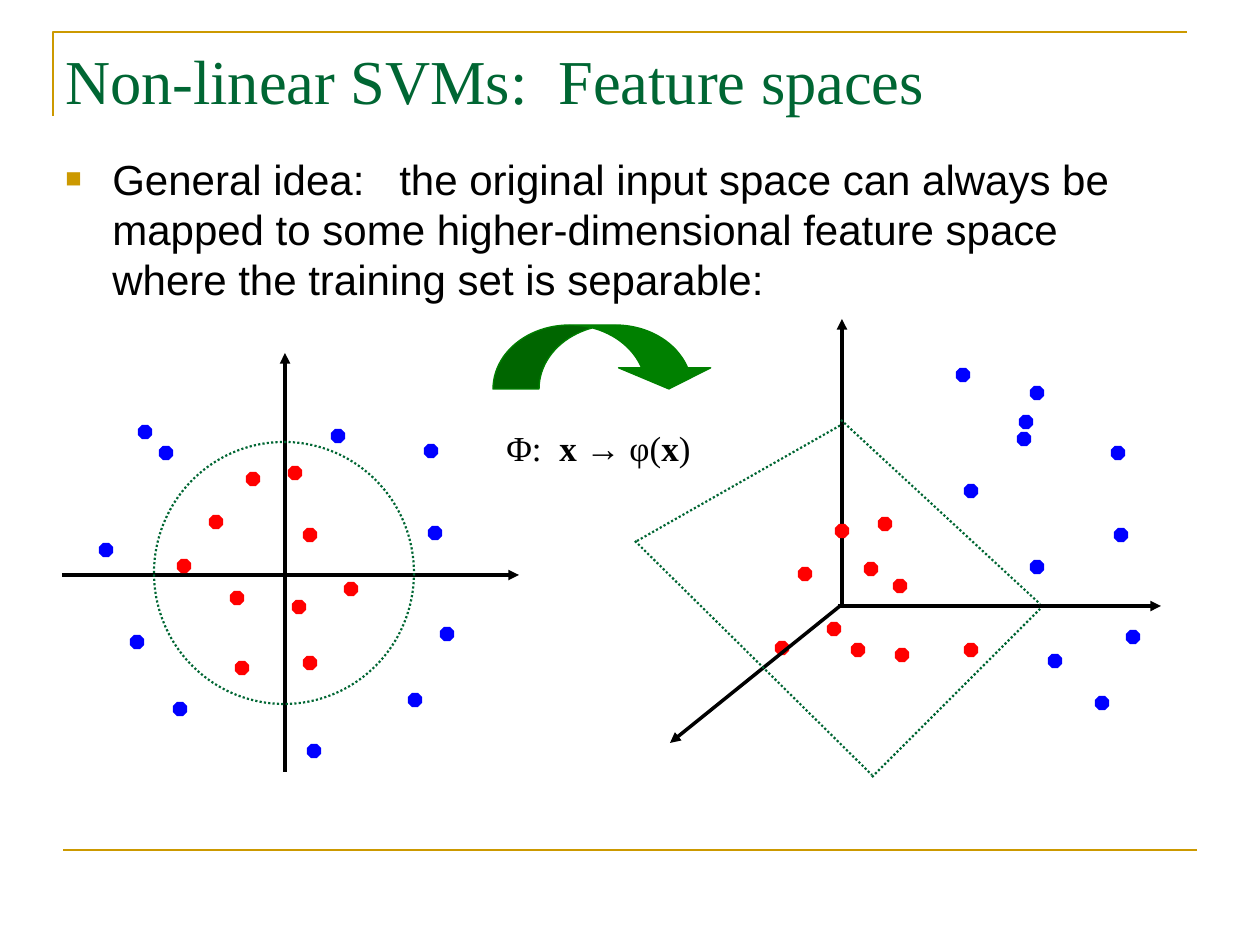
"""Builds a slide on mapping inputs to a separable feature space."""
from lxml import etree
from pptx import Presentation
from pptx import util as u
from pptx.dml.color import RGBColor
from pptx.enum import dml, shapes, text
from pptx.oxml import ns

COLORS = {"gold": "CC9900", "green": "006633", "arrow": "008000",
          "red": "FF0000", "blue": "0000FF", "black": "000000"}
SERIF, SANS = "Times New Roman", "Arial"

TITLE = [("Non-linear SVMs:  Feature spaces", False)]
BODY = [("General idea:   the original input space can always be mapped to some "
         "higher-dimensional feature space where the training set is separable:", False)]
MAPPING = [("Φ:  ", False), ("x → ", True), ("φ(", False), ("x", True), (")", False)]

CORNER = [(53, 116), (53, 32), (1187, 32)]
FOOT_RULE = (63, 850, 1197, 850)
CIRCLE = (154, 442, 260, 262)
CURVED_ARROW = (493, 325, 222, 64)
ARROW_ADJUSTMENTS = (0.72, 1.44, 0.33)
DOT = 13

INPUT_AXES = [(285, 772, 285, 353), (62, 575, 519, 575)]
FEATURE_AXES = [(842, 604, 842, 319), (838, 606, 1161, 606)]
DEPTH_AXIS = (840, 606, 670, 743)
PLANE = [(841, 420, 1040, 604), (872, 777, 1040, 609),
         (637, 541, 841, 425), (635, 541, 872, 775)]

INPUT_DOTS = {
    "red": [(295, 473), (216, 522), (237, 598), (310, 663), (253, 479),
            (184, 566), (242, 668), (310, 535), (351, 589), (299, 607)],
    "blue": [(435, 533), (415, 700), (106, 550), (314, 751), (447, 634), (180, 709),
             (137, 642), (145, 432), (338, 436), (166, 453), (431, 451)],
}
FEATURE_DOTS = {
    "red": [(885, 524), (805, 574), (858, 650), (971, 650), (842, 531),
            (871, 569), (902, 655), (900, 586), (834, 629), (782, 648)],
    "blue": [(1121, 535), (1102, 703), (1037, 393), (1037, 567), (1133, 637), (971, 491),
             (1055, 661), (1026, 422), (1024, 439), (963, 375), (1118, 453)],
}


def px(*values):
    return [u.Emu(round(v * 914400 / 126)) for v in values]


def rgb(name):
    return RGBColor.from_string(COLORS[name])


def set_line(sp, color, width, dotted=False):
    sp.line.color.rgb = rgb(color)
    sp.line.width = u.Pt(width)
    if dotted:
        sp.line.dash_style = dml.MSO_LINE.ROUND_DOT


def add_line(s, ends, color, width, dotted=False, arrow=False):
    cx = s.shapes.add_connector(shapes.MSO_CONNECTOR.STRAIGHT, *px(*ends))
    set_line(cx, color, width, dotted)
    if arrow:
        etree.SubElement(cx.line._get_or_add_ln(), ns.qn("a:tailEnd"), type="triangle")
    etree.SubElement(cx._element.spPr, ns.qn("a:effectLst"))


def add_shape(s, kind, box, color, width, fill=None, dotted=False):
    sp = s.shapes.add_shape(kind, *px(*box))
    sp.shadow.inherit = False
    if fill:
        sp.fill.solid()
        sp.fill.fore_color.rgb = rgb(fill)
    else:
        sp.fill.background()
    set_line(sp, color, width, dotted)
    return sp


def add_dots(s, groups):
    for color, centers in groups.items():
        for x, y in centers:
            add_shape(s, shapes.MSO_SHAPE.OCTAGON,
                      (x - DOT / 2, y - DOT / 2, DOT, DOT), color, 0.75, color)


def add_text(s, box, runs, size, font, color):
    tf = s.shapes.add_textbox(*px(*box)).text_frame
    tf.word_wrap = True
    p = tf.paragraphs[0]
    for words, bold in runs:
        r = p.add_run()
        r.text = words
        r.font.size, r.font.name, r.font.bold = u.Pt(size), font, bold
        r.font.color.rgb = rgb(color)
    return tf, p


def add_bullet(p, color, indent):
    pPr = p._p.get_or_add_pPr()
    pPr.set("marL", str(indent))
    pPr.set("indent", str(-indent))
    clr = etree.SubElement(pPr, ns.qn("a:buClr"))
    etree.SubElement(clr, ns.qn("a:srgbClr"), val=COLORS[color])
    etree.SubElement(pPr, ns.qn("a:buSzPct"), val="65000")
    etree.SubElement(pPr, ns.qn("a:buFont"), typeface=SANS)
    etree.SubElement(pPr, ns.qn("a:buChar"), char="■")


prs = Presentation()
prs.slide_width, prs.slide_height = px(1260, 945)
s = prs.slides.add_slide(prs.slide_layouts[6])

fb = s.shapes.build_freeform(*px(*CORNER[0]))
fb.add_line_segments([px(*point) for point in CORNER[1:]], close=False)
corner = fb.convert_to_shape()
corner.shadow.inherit = False
corner.fill.background()
set_line(corner, "gold", 1.5)
add_line(s, FOOT_RULE, "gold", 1.5)

tf, p = add_text(s, (53, 32, 1071, 105), TITLE, 35.7, SERIF, "green")
tf.vertical_anchor = text.MSO_ANCHOR.MIDDLE
p.line_spacing = 0.9
tf, p = add_text(s, (53, 147, 1134, 693), BODY, 24, SANS, "black")
p.space_before = u.Pt(6)
add_bullet(p, "gold", px(47)[0])

for axes, dots in ((INPUT_AXES, INPUT_DOTS), (FEATURE_AXES, FEATURE_DOTS)):
    for axis in axes:
        add_line(s, axis, "black", 2, arrow=True)
    add_dots(s, dots)
add_line(s, DEPTH_AXIS, "black", 2, arrow=True)

add_shape(s, shapes.MSO_SHAPE.OVAL, CIRCLE, "green", 1.25, dotted=True)
for edge in PLANE:
    add_line(s, edge, "green", 1.25, dotted=True)

arrow = add_shape(s, shapes.MSO_SHAPE.CURVED_DOWN_ARROW, CURVED_ARROW, "arrow", 0.75, "arrow")
for i, value in enumerate(ARROW_ADJUSTMENTS):
    arrow.adjustments[i] = value
tf, p = add_text(s, (494, 420, 262, 60), MAPPING, 20, SERIF, "black")
p.space_before = u.Pt(12.5)

prs.save("out.pptx")
